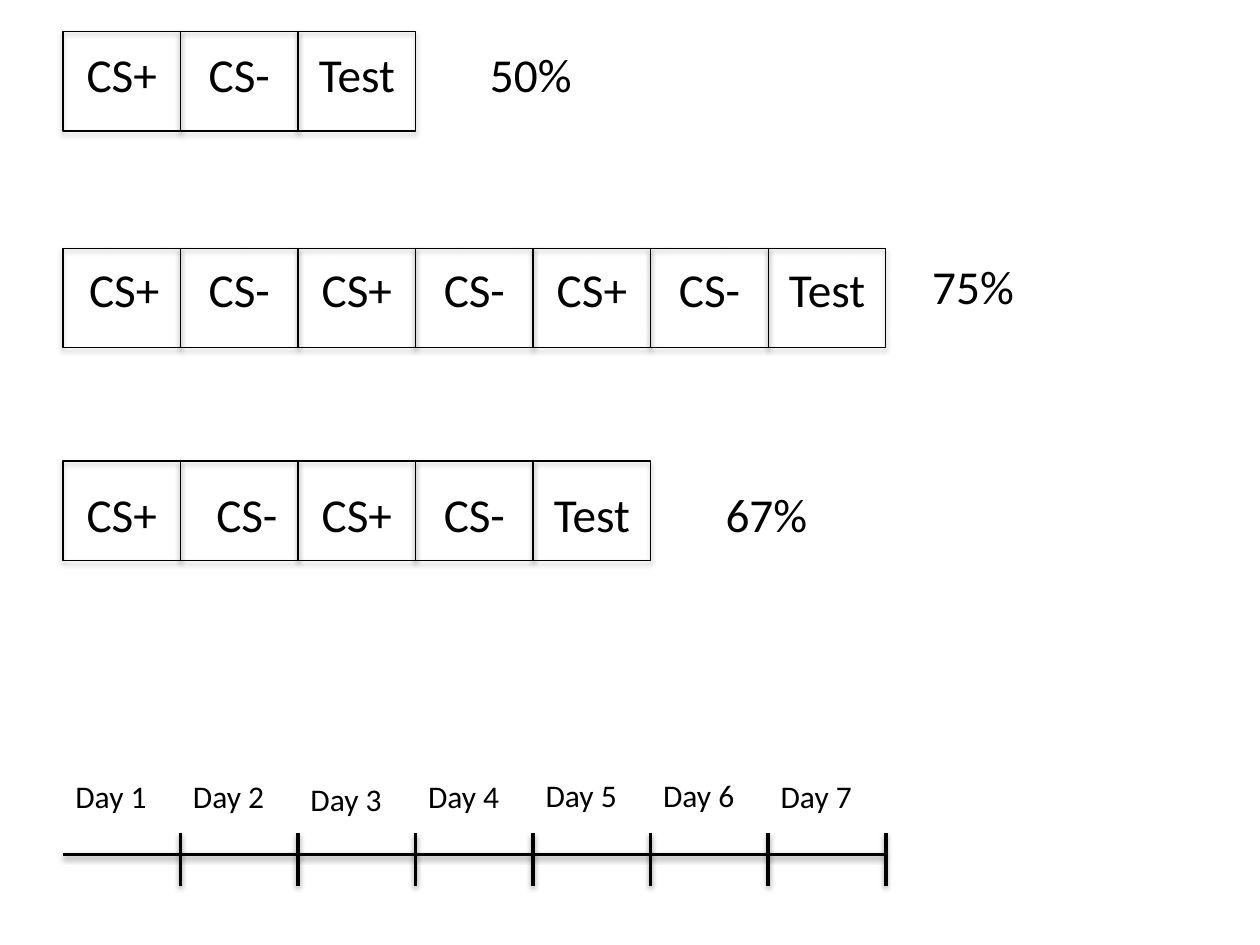
from lxml import etree
from pptx import Presentation
from pptx.dml.color import RGBColor
from pptx.enum.shapes import MSO_CONNECTOR, MSO_SHAPE
from pptx.enum.text import MSO_AUTO_SIZE, PP_ALIGN
from pptx.oxml.ns import qn
from pptx.util import Inches, Pt

ROUNDED = MSO_SHAPE.ROUNDED_RECTANGLE
STRAIGHT = MSO_CONNECTOR.STRAIGHT
LEFT, CENTER = PP_ALIGN.LEFT, PP_ALIGN.CENTER
GROW = MSO_AUTO_SIZE.SHAPE_TO_FIT_TEXT

THEME = {
    "font": "Calibri", "ink": RGBColor(0, 0, 0),
    "phase_size": 27, "day_size": 18,
    "box_line": 0.75, "axis_line": 2,
}

# Grid: seven equal day columns
GRID_LEFT, DAYS = 0.5, 7
COLUMN = 6.53 / DAYS
edges = [GRID_LEFT + COLUMN * day for day in range(DAYS + 1)]

deck = Presentation()
deck.slide_width, deck.slide_height = Inches(10), Inches(7.5)
page = deck.slides.add_slide(deck.slide_layouts[6])


def add_label(text, left, top, width, height, size, align):
    box = page.shapes.add_textbox(Inches(left), Inches(top), Inches(width), Inches(height))
    frame = box.text_frame
    frame.word_wrap = True
    frame.auto_size = GROW
    para = frame.paragraphs[0]
    para.alignment = align
    span = para.add_run()
    span.text = text
    span.font.name = THEME["font"]
    span.font.size = Pt(size)
    span.font.color.rgb = THEME["ink"]


def outline_with_shadow(shape, width, distance, opacity):
    """Black line with a soft shadow straight below it."""
    shape.line.color.rgb = THEME["ink"]
    shape.line.width = Pt(width)
    effects = etree.SubElement(shape._element.spPr, qn("a:effectLst"))
    shadow = etree.SubElement(effects, qn("a:outerShdw"), blurRad=str(Pt(3.1)),
                              dist=str(Pt(distance)), dir="5400000", rotWithShape="0")
    color = etree.SubElement(shadow, qn("a:srgbClr"), val=str(THEME["ink"]))
    etree.SubElement(color, qn("a:alpha"), val=str(opacity * 1000))


# Schedules: training pairs, box top, label top, label shifts by column,
# then the share with its left and top
schedules = [
    (1, 0.25, 0.31, {}, "50%", 3.79, 0.31),
    (3, 1.97, 2.02, {0: 0.02}, "75%", 7.3, 1.99),
    (2, 3.66, 3.8, {1: 0.06}, "67%", 5.66, 3.8),
]
for pairs, box_top, label_top, shifts, share, share_left, share_top in schedules:
    phases = ["CS+", "CS-"] * pairs + ["Test"]
    for left in edges[:len(phases)]:
        box = page.shapes.add_shape(ROUNDED, Inches(left), Inches(box_top),
                                    Inches(COLUMN), Inches(0.79))
        box.adjustments[0] = 0
        box.fill.background()
        outline_with_shadow(box, THEME["box_line"], 1.8, 35)
    for column, phase in enumerate(phases):
        add_label(phase, edges[column] + shifts.get(column, 0), label_top,
                  COLUMN, 0.56, THEME["phase_size"], CENTER)
    add_label(share, share_left, share_top, 1.02, 0.56, THEME["phase_size"], LEFT)

# Timeline: the axis, then a tick at the end of each day
AXIS_TOP, TICK_TOP, TICK_BOTTOM = 6.78, 6.61, 7.03
segments = [(edges[0], AXIS_TOP, edges[-1], AXIS_TOP)]
segments += [(edge, TICK_TOP, edge, TICK_BOTTOM) for edge in edges[1:]]
for segment in segments:
    line = page.shapes.add_connector(STRAIGHT, *[Inches(value) for value in segment])
    outline_with_shadow(line, THEME["axis_line"], 1.6, 38)

# Day names
day_tops = [6.12, 6.12, 6.14, 6.12, 6.11, 6.11, 6.12]
for day, top in enumerate(day_tops):
    add_label(f"Day {day + 1}", edges[day], top, COLUMN, 0.4, THEME["day_size"], LEFT)

deck.save("out.pptx")
